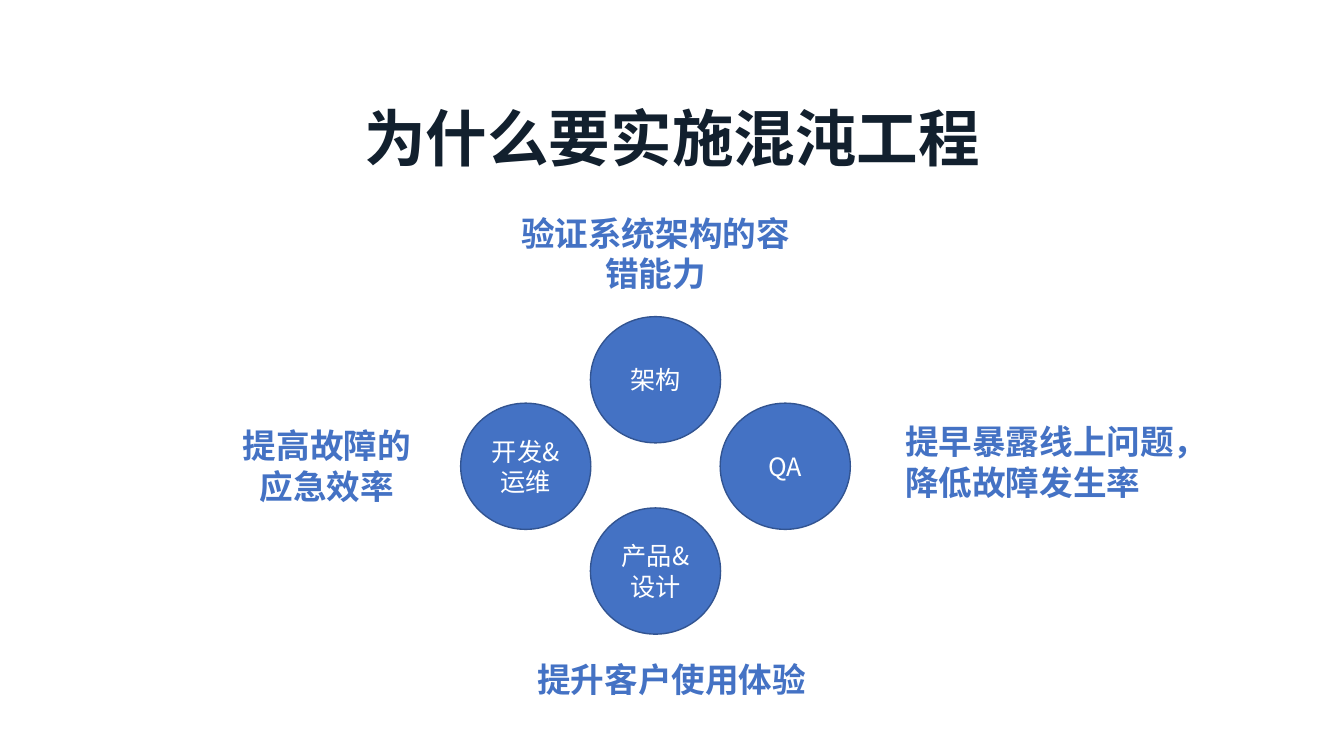
import dataclasses

import pptx
import pptx.dml.color
import pptx.enum.shapes
import pptx.enum.text
import pptx.util
from lxml import etree
from pptx.util import Cm

ALIGN = pptx.enum.text.PP_ALIGN
ANCHOR = pptx.enum.text.MSO_ANCHOR
DRAWING = "{http://schemas.openxmlformats.org/drawingml/2006/main}"


@dataclasses.dataclass(frozen=True)
class Theme:
    """Hold the colours, font and type sizes of the slide."""
    font: str = "Noto Sans CJK SC"
    ink: str = "12202E"
    blue: str = "4472C4"
    outline: str = "325491"
    white: str = "FFFFFF"
    title_size: int = 44
    benefit_size: int = 24
    role_size: int = 18


THEME = Theme()
CIRCLE_WIDTH, CIRCLE_HEIGHT = 3.28, 3.18
CENTRE_LEFT, SIDE_STEP = 14.88, 3.27

ROLES = [
    ("开发&运维", -1, 10.16),
    ("架构", 0, 7.98),
    ("QA", 1, 10.16),
    ("产品&设计", 0, 12.8),
]
BENEFITS = [
    ("提⾼故障的应急效率", (5.56, 10.59, 5.36, 2.31), ALIGN.CENTER),
    ("提早暴露线上问题，降低故障发生率", (22.56, 10.49, 7.44, 2.31), ALIGN.LEFT),
    ("提升客户使用体验", (13.21, 16.48, 7.44, 1.27), ALIGN.CENTER),
    ("验证系统架构的容错能⼒", (12.8, 5.23, 7.44, 2.31), ALIGN.CENTER),
]


def rgb(value):
    """Return a colour object for a hex value."""
    return pptx.dml.color.RGBColor.from_string(value)


def apply(target, values):
    """Set each named attribute on the target."""
    for name, value in values.items():
        setattr(target, name, value)


def write(shape, text, size, colour, bold=False, align=ALIGN.CENTER, anchor=ANCHOR.TOP):
    """Put one formatted paragraph into a shape."""
    frame = shape.text_frame
    apply(frame, {
        "word_wrap": True,
        "vertical_anchor": anchor,
        "auto_size": pptx.enum.text.MSO_AUTO_SIZE.NONE,
    })
    para = frame.paragraphs[0]
    para.alignment = align
    span = para.add_run()
    span.text = text
    apply(span.font, {"name": THEME.font, "size": pptx.util.Pt(size), "bold": bold})
    span.font.color.rgb = rgb(colour)
    properties = span.font._element
    east_asian = etree.Element(DRAWING + "ea", typeface=THEME.font)
    properties.find(DRAWING + "latin").addnext(east_asian)


def add_title(page, text):
    """Place and format the title placeholder."""
    title = page.shapes.title
    apply(title, {
        "left": Cm(6.2), "top": Cm(2.39), "width": Cm(21.49), "height": Cm(2.13),
    })
    write(title, text, THEME.title_size, THEME.ink, bold=True)


def add_benefit(page, text, bounds, align):
    """Add a bold blue statement beside its role."""
    box = page.shapes.add_textbox(*map(Cm, bounds))
    write(box, text, THEME.benefit_size, THEME.blue, bold=True, align=align)


def add_role(page, text, column, top):
    """Add a role circle in a column counted from the centre."""
    circle = page.shapes.add_shape(
        pptx.enum.shapes.MSO_SHAPE.OVAL,
        Cm(CENTRE_LEFT + column * SIDE_STEP), Cm(top),
        Cm(CIRCLE_WIDTH), Cm(CIRCLE_HEIGHT),
    )
    circle.shadow.inherit = False
    circle.fill.solid()
    circle.fill.fore_color.rgb = rgb(THEME.blue)
    circle.line.color.rgb = rgb(THEME.outline)
    circle.line.width = pptx.util.Pt(1)
    write(circle, text, THEME.role_size, THEME.white, anchor=ANCHOR.MIDDLE)


def main():
    """Build and save the slide."""
    deck = pptx.Presentation()
    apply(deck, {"slide_width": Cm(33.87), "slide_height": Cm(19.05)})
    page = deck.slides.add_slide(deck.slide_layouts.get_by_name("Title Only"))
    add_title(page, "为什么要实施混沌工程")
    for role in ROLES:
        add_role(page, *role)
    for benefit in BENEFITS:
        add_benefit(page, *benefit)
    deck.save("out.pptx")


if __name__ == "__main__":
    main()
